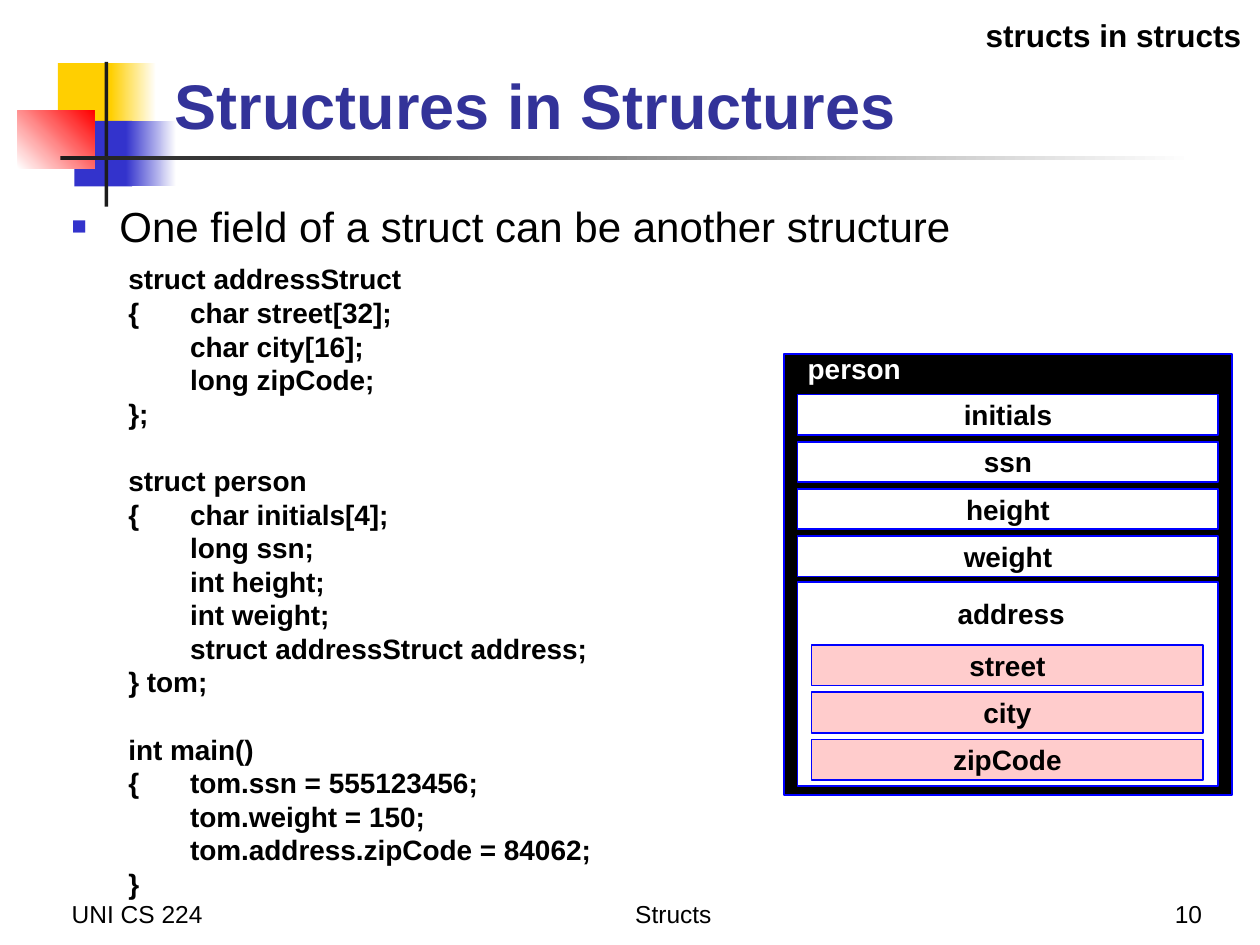
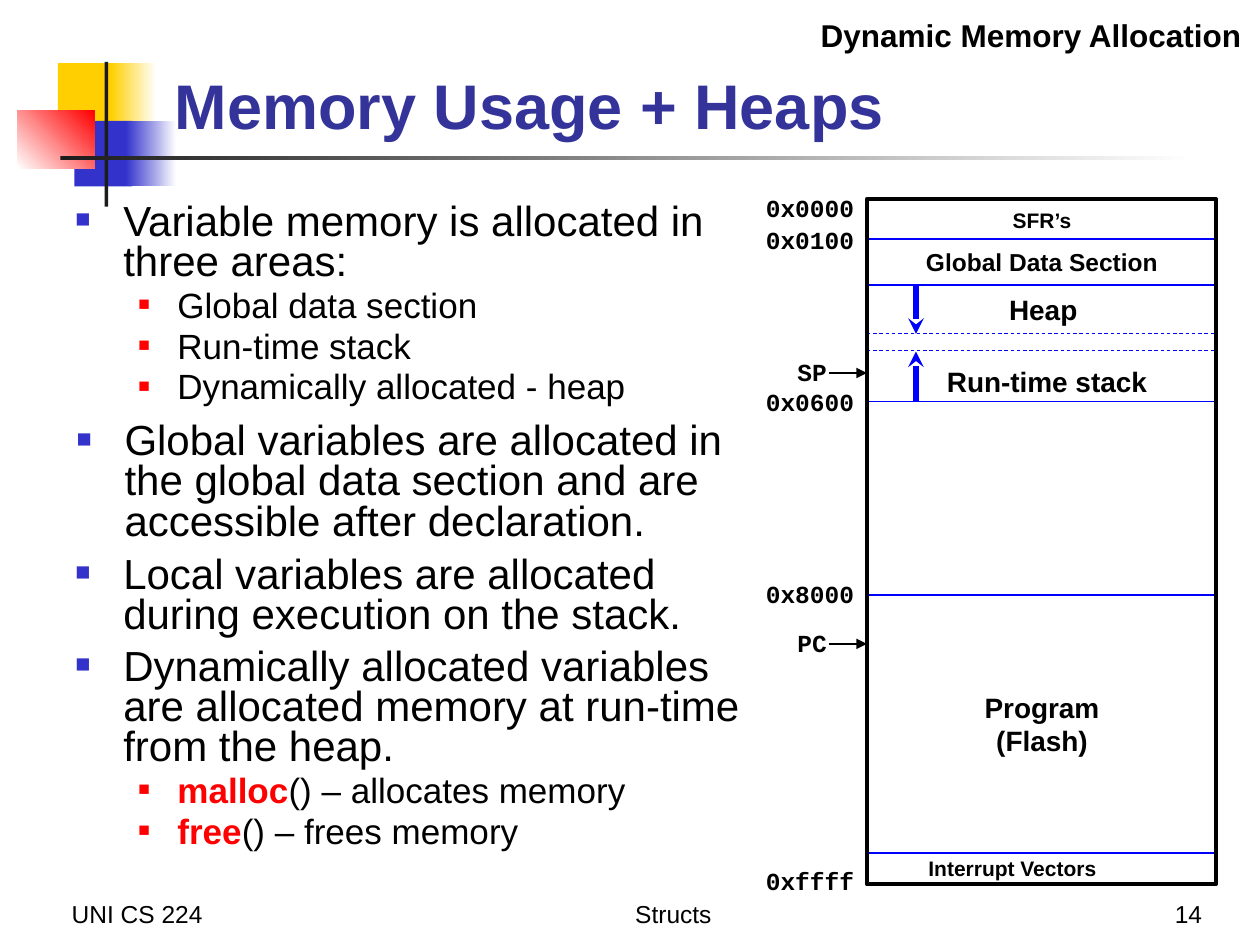
"""Build two lecture slides on C structs and memory use."""
from lxml import etree
from pptx import Presentation
from pptx.dml.color import RGBColor
from pptx.enum.dml import MSO_LINE
from pptx.enum.shapes import MSO_CONNECTOR, MSO_SHAPE
from pptx.enum.text import MSO_ANCHOR, MSO_AUTO_SIZE, PP_ALIGN
from pptx.oxml.ns import qn
from pptx.util import Inches, Pt

LEFT, CENTER, RIGHT = PP_ALIGN.LEFT, PP_ALIGN.CENTER, PP_ALIGN.RIGHT
TOP, MIDDLE, BOTTOM = MSO_ANCHOR.TOP, MSO_ANCHOR.MIDDLE, MSO_ANCHOR.BOTTOM
NO_FIT = MSO_AUTO_SIZE.NONE
RECTANGLE, STRAIGHT, DASH = MSO_SHAPE.RECTANGLE, MSO_CONNECTOR.STRAIGHT, MSO_LINE.DASH
BLACK, WHITE, BLUE, RED = "000000", "FFFFFF", "0000FF", "FF0000"
INDIGO, NAVY, YELLOW, CHARCOAL, PINK = "3333CC", "333399", "FFCF01", "1C1C1C", "FFCCCC"
SANS, MONO = "Arial", "Courier New"
BULLETS = [
    dict(size=24, color=INDIGO, scale=60, indent=0.38, hanging=0.38),
    dict(size=20, color=RED, scale=55, indent=0.81, hanging=0.31),
]


def color(value):
    return RGBColor.from_string(value)


def apply(target, values):
    for name, value in values.items():
        setattr(target, name, value)


def add_element(parent, tag, **attributes):
    return etree.SubElement(parent, qn(tag), {k: str(v) for k, v in attributes.items()})


class Deck:
    """Hold the shared style and the slide being drawn."""

    def __init__(self):
        self.presentation = Presentation()
        apply(self.presentation, dict(slide_width=Inches(10), slide_height=Inches(7.5)))
        self.slide = None

    def start(self, title, topic, number):
        self.slide = self.presentation.slides.add_slide(self.presentation.slide_layouts[6])
        self.box((0.46, 0.5, 0.48, 0.52), YELLOW)
        self.gradient((0.88, 0.5, 0.36, 0.52), YELLOW, WHITE)
        self.box((0.59, 0.96, 0.46, 0.52), INDIGO)
        self.gradient((1, 0.96, 0.4, 0.52), INDIGO, WHITE)
        self.gradient((0.14, 0.88, 0.61, 0.46), WHITE, RED, 45)
        self.box((0.83, 0.49, 0.03, 1.15), CHARCOAL)
        self.gradient((0.48, 1.24, 9, 0.03), CHARCOAL, WHITE)
        for left, width, text, align in [
            (0.47, 2.08, "UNI CS 224", LEFT),
            (2.78, 5.13, "Structs", CENTER),
            (7.56, 2.08, number, RIGHT),
        ]:
            self.text((left, 6.92, width, 0.5), text, 14, bold=False, align=align, anchor=BOTTOM)
        self.text((1.29, 0.23, 8.52, 0.95), title, 36, NAVY, anchor=BOTTOM)
        self.text((5.93, 0.08, 4.02, 0.4), topic, 18, align=RIGHT)

    def box(self, place, fill=None, line=None, width=1):
        shape = self.slide.shapes.add_shape(RECTANGLE, *map(Inches, place))
        shape.shadow.inherit = False
        if fill:
            shape.fill.solid()
            shape.fill.fore_color.rgb = color(fill)
        else:
            shape.fill.background()
        if line:
            shape.line.color.rgb = color(line)
            shape.line.width = Pt(width)
        else:
            shape.line.fill.background()
        return shape

    def gradient(self, place, first, last, angle=0):
        fill = self.box(place, first).fill
        fill.gradient()
        fill.gradient_angle = angle
        for stop, value in zip(fill.gradient_stops, (first, last)):
            stop.color.rgb = color(value)

    def run(self, paragraph, text, size, fill=BLACK, bold=True, font=SANS):
        run = paragraph.add_run()
        run.text = text
        apply(run.font, dict(name=font, size=Pt(size), bold=bold))
        run.font.color.rgb = color(fill)

    def label(self, shape, text, size, fill=BLACK, bold=True, font=SANS,
              align=LEFT, anchor=TOP, wrap=True, spacing=None):
        frame = shape.text_frame
        apply(frame, dict(word_wrap=wrap, vertical_anchor=anchor, auto_size=NO_FIT))
        for index, line in enumerate(text.split("\n")):
            paragraph = frame.add_paragraph() if index else frame.paragraphs[0]
            apply(paragraph, dict(alignment=align, line_spacing=spacing))
            self.run(paragraph, line, size, fill, bold, font)
        return frame

    def text(self, place, text, size, fill=BLACK, **style):
        shape = self.slide.shapes.add_textbox(*map(Inches, place))
        return self.label(shape, text, size, fill, **style)

    def caption(self, place, text, size=16, fill=BLACK):
        self.text(place, text, size, fill, align=CENTER, anchor=MIDDLE, wrap=False)

    def field(self, place, text, fill=WHITE, size=16):
        shape = self.box(place, fill, BLUE)
        self.label(shape, text, size, align=CENTER, anchor=MIDDLE, wrap=False)

    def code(self, place, blocks, pitch=19.2):
        frame = self.text(place, "\n".join(blocks), 16, spacing=Pt(pitch))
        starts = {block.split("\n")[0] for block in blocks[1:]}
        for paragraph in frame.paragraphs:
            if paragraph.text in starts:
                paragraph.space_before = Pt(pitch)
            tabs = add_element(paragraph._p.get_or_add_pPr(), "a:tabLst")
            add_element(tabs, "a:tab", pos=Inches(0.49), algn="l")

    def bullets(self, place, items, spacing=0.8):
        frame = self.slide.shapes.add_textbox(*map(Inches, place)).text_frame
        frame.word_wrap = True
        for index, (level, strong, text) in enumerate(items):
            style = BULLETS[level]
            paragraph = frame.add_paragraph() if index else frame.paragraphs[0]
            apply(paragraph, dict(level=level, line_spacing=spacing,
                                  space_before=Pt(style["size"] * 0.2)))
            properties = paragraph._p.get_or_add_pPr()
            properties.set("marL", str(Inches(style["indent"])))
            properties.set("indent", str(-Inches(style["hanging"])))
            bullet_color = add_element(properties, "a:buClr")
            add_element(bullet_color, "a:srgbClr", val=style["color"])
            add_element(properties, "a:buSzPct", val=style["scale"] * 1000)
            add_element(properties, "a:buFont", typeface=SANS)
            add_element(properties, "a:buChar", char="■")
            if strong:
                self.run(paragraph, strong, style["size"], RED)
            self.run(paragraph, text, style["size"], bold=False)

    def line(self, start, end, stroke=BLUE, width=0.5, dash=None, arrow=None):
        connector = self.slide.shapes.add_connector(STRAIGHT, *map(Inches, start + end))
        connector.line.color.rgb = color(stroke)
        apply(connector.line, dict(width=Pt(width), dash_style=dash))
        properties = connector._element.spPr
        if arrow:
            add_element(properties.get_or_add_ln(), "a:tailEnd", type=arrow)
        add_element(properties, "a:effectLst")

    def address(self, top, text):
        self.text((5.98, top, 0.9, 0.31), text, 14, font=MONO, wrap=False, spacing=0.9)

    def pointer(self, level, text):
        self.line((6.58, level), (6.88, level), BLACK, 1.5, arrow="triangle")
        self.text((6.23, level - 0.15, 0.43, 0.31), text, 14, font=MONO, wrap=False, spacing=0.9)


def structures_slide(deck):
    deck.start("Structures in Structures", "structs in structs", "10")
    deck.box((6.22, 2.81, 3.56, 3.5), BLACK, BLUE)
    deck.bullets((0.47, 1.54, 8.93, 0.61),
                 [(0, "", "One field of a struct can be another structure")], 1.0)
    deck.code((0.92, 2.03, 4.53, 5.22), [
        "struct addressStruct\n{\tchar street[32];\n\tchar city[16];\n\tlong zipCode;\n};",
        "struct person\n{\tchar initials[4];\n\tlong ssn;\n\tint height;\n\tint weight;\n"
        "\tstruct addressStruct address;\n} tom;",
        "int main()\n{\ttom.ssn = 555123456;\n\ttom.weight = 150;\n"
        "\ttom.address.zipCode = 84062;\n}",
    ])
    pitch = 0.375
    for index, name in enumerate(["initials", "ssn", "height", "weight"]):
        deck.field((6.33, 3.13 + index * pitch, 3.34, 0.32), name)
    deck.box((6.33, 4.62, 3.34, 1.62), WHITE, BLUE)
    deck.caption((7.5, 4.68, 1.05, 0.37), "address")
    for index, name in enumerate(["street", "city", "zipCode"]):
        deck.field((6.44, 5.12 + index * pitch, 3.11, 0.32), name, PINK)
    deck.caption((6.31, 2.74, 0.94, 0.37), "person", fill=WHITE)


def memory_slide(deck):
    deck.start("Memory Usage + Heaps", "Dynamic Memory Allocation", "14")
    deck.bullets((0.5, 1.57, 5.49, 1.79), [
        (0, "", "Variable memory is allocated in three areas:"),
        (1, "", "Global data section"),
        (1, "", "Run-time stack"),
        (1, "", "Dynamically allocated - heap"),
    ])
    deck.bullets((0.51, 3.31, 5.49, 1.06), [
        (0, "", "Global variables are allocated in the global data section "
                "and are accessible after declaration."),
    ])
    deck.bullets((0.5, 4.37, 5.49, 0.75), [
        (0, "", "Local variables are allocated during execution on the stack."),
    ])
    deck.bullets((0.5, 5.1, 5.49, 1.61), [
        (0, "", "Dynamically allocated variables are allocated memory at run-time from the heap."),
        (1, "malloc", "() – allocates memory"),
        (1, "free", "() – frees memory"),
    ])
    left, right, width = 6.88, 9.65, 2.78
    for top, height, name, size in [
        (1.59, 0.31, "SFR’s", 12),
        (1.9, 0.36, "Global Data Section", 14),
        (4.72, 2.05, "Program\n(Flash)", 16),
    ]:
        deck.field((left, top, width, height), name, size=size)
    for level, dash in [(2.65, DASH), (2.78, DASH), (3.19, None), (6.77, None)]:
        deck.line((left, level), (right, level), dash=dash)
    for start, end in [(2.25, 2.65), (3.19, 2.79)]:
        deck.line((7.27, start), (7.27, end), width=3, arrow="stealth")
    deck.caption((7.91, 2.27, 0.74, 0.37), "Heap")
    deck.caption((7.41, 2.84, 1.8, 0.37), "Run-time stack")
    deck.text((7.27, 6.76, 1.55, 0.28), "Interrupt Vectors", 12, wrap=False, spacing=0.9)
    for top, value in [(1.51, "0x0000"), (1.76, "0x0100"), (3.05, "0x0600"),
                       (4.57, "0x8000"), (6.85, "0xffff")]:
        deck.address(top, value)
    deck.pointer(2.96, "SP")
    deck.pointer(5.11, "PC")
    deck.box((left, 1.58, right - left, 5.44), line=BLACK, width=2.25)


deck = Deck()
structures_slide(deck)
memory_slide(deck)
deck.presentation.save("out.pptx")
